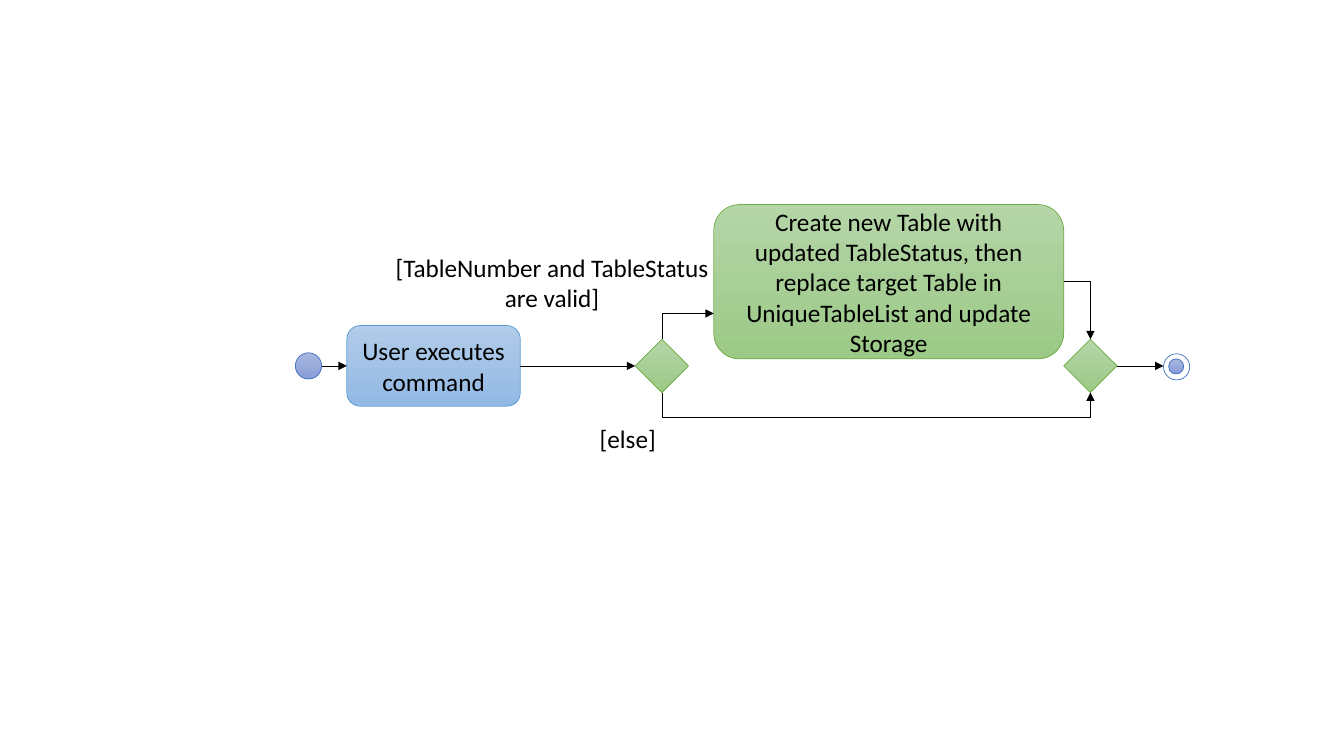
from dataclasses import dataclass

from lxml import etree
from pptx import Presentation
from pptx.dml.color import RGBColor
from pptx.enum.shapes import MSO_CONNECTOR, MSO_SHAPE
from pptx.enum.text import MSO_ANCHOR, PP_ALIGN
from pptx.oxml.ns import qn
from pptx.util import Inches, Pt

OVAL, DIAMOND = MSO_SHAPE.OVAL, MSO_SHAPE.DIAMOND
ROUNDED = MSO_SHAPE.ROUNDED_RECTANGLE
STRAIGHT = MSO_CONNECTOR.STRAIGHT
CENTER, LEFT = PP_ALIGN.CENTER, PP_ALIGN.LEFT
MIDDLE = MSO_ANCHOR.MIDDLE


@dataclass(frozen=True)
class Theme:
    font: str = "Calibri"
    size: Pt = Pt(18)
    line: Pt = Pt(0.5)
    ink: RGBColor = RGBColor(0, 0, 0)
    white: RGBColor = RGBColor(255, 255, 255)
    # Each palette: gradient top, gradient bottom, outline
    indigo: tuple = ("A8B7DF", "889ED7", "4472C4")
    blue: tuple = ("B1CBE9", "93B9E4", "5B9BD5")
    green: tuple = ("B5D5A7", "9CC987", "70AD47")


theme = Theme()
prs = Presentation()
prs.slide_width, prs.slide_height = Inches(13.33), Inches(7.5)
slide = prs.slides.add_slide(prs.slide_layouts[6])
shapes = slide.shapes


def add_node(parent, kind, box, palette):
    node = parent.add_shape(kind, *map(Inches, box))
    node.shadow.inherit = False
    top, bottom, edge = map(RGBColor.from_string, palette)
    node.fill.gradient()
    node.fill.gradient_angle = 270
    for stop, color, place in zip(node.fill.gradient_stops, (top, bottom), (0, 1)):
        stop.color.rgb = color
        stop.position = place
    node.line.color.rgb = edge
    node.line.width = theme.line
    return node


def style_arrow(arrow):
    """Give a line or open path a thin black stroke ending in a triangle."""
    arrow.line.color.rgb = theme.ink
    arrow.line.width = theme.line
    etree.SubElement(arrow.line._get_or_add_ln(), qn("a:tailEnd"), type="triangle")


# Nodes, centred on one axis
axis = 3.63
dot, gem = 0.26, 0.53
split_x, merge_x = 6.3, 10.55
gem_top = axis - gem / 2

start = add_node(shapes, OVAL, (2.93, axis - dot / 2, dot, dot), theme.indigo)
user = add_node(shapes, ROUNDED, (3.44, 3.23, 1.72, 0.8), theme.blue)
update = add_node(shapes, ROUNDED, (7.08, 2.03, 3.47, 1.53), theme.green)
split, merge = [
    add_node(shapes, DIAMOND, (x, gem_top, gem, gem), theme.green)
    for x in (split_x, merge_x)
]

final = shapes.add_group_shape().shapes
ring = add_node(final, OVAL, (11.54, 3.51, dot, dot), theme.indigo)
ring.fill.solid()
ring.fill.fore_color.rgb = theme.white
add_node(final, OVAL, (11.59, 3.56, 0.15, 0.15), theme.indigo)

# Wording
valid = shapes.add_textbox(Inches(3.74), Inches(2.45), Inches(3.47), Inches(0.71))
other = shapes.add_textbox(Inches(5.85), Inches(4.15), Inches(0.93), Inches(0.4))
user.text_frame.vertical_anchor = update.text_frame.vertical_anchor = MIDDLE
for holder, text, align in (
    (user, "User executes command", CENTER),
    (update, "Create new Table with updated TableStatus, then replace "
             "target Table in UniqueTableList and update Storage", CENTER),
    (valid, "[TableNumber and TableStatus are valid]", CENTER),
    (other, "[else]", LEFT),
):
    frame = holder.text_frame
    frame.word_wrap = True
    para = frame.paragraphs[0]
    para.text = text
    para.alignment = align
    para.font.name = theme.font
    para.font.size = theme.size
    para.font.color.rgb = theme.ink

# Straight arrows: x from, x to, node joined at each end
for x1, x2, tail, head in (
    (3.19, 3.44, None, user),
    (5.16, split_x, user, split),
    (merge_x + gem, 11.54, merge, None),
):
    arrow = shapes.add_connector(
        STRAIGHT, Inches(x1), Inches(axis), Inches(x2), Inches(axis))
    if tail:
        arrow.begin_connect(tail, 3)
    if head:
        arrow.end_connect(head, 1)
    style_arrow(arrow)
    etree.SubElement(arrow._element.spPr, qn("a:effectLst"))

# Bent arrows between the diamonds and the update step
split_mid, merge_mid = split_x + gem / 2, merge_x + gem / 2
gem_foot = gem_top + gem
for first, *rest in (
    [(split_mid, gem_top), (split_mid, 3.11), (7.08, 3.11)],
    [(split_mid, gem_foot), (split_mid, 4.14), (merge_mid, 4.14), (merge_mid, gem_foot)],
    [(merge_x, 2.79), (merge_mid, 2.79), (merge_mid, gem_top)],
):
    pen = shapes.build_freeform(*map(Inches, first))
    pen.add_line_segments([tuple(map(Inches, spot)) for spot in rest], close=False)
    arrow = pen.convert_to_shape()
    arrow.shadow.inherit = False
    arrow.fill.background()
    style_arrow(arrow)

prs.save("out.pptx")
